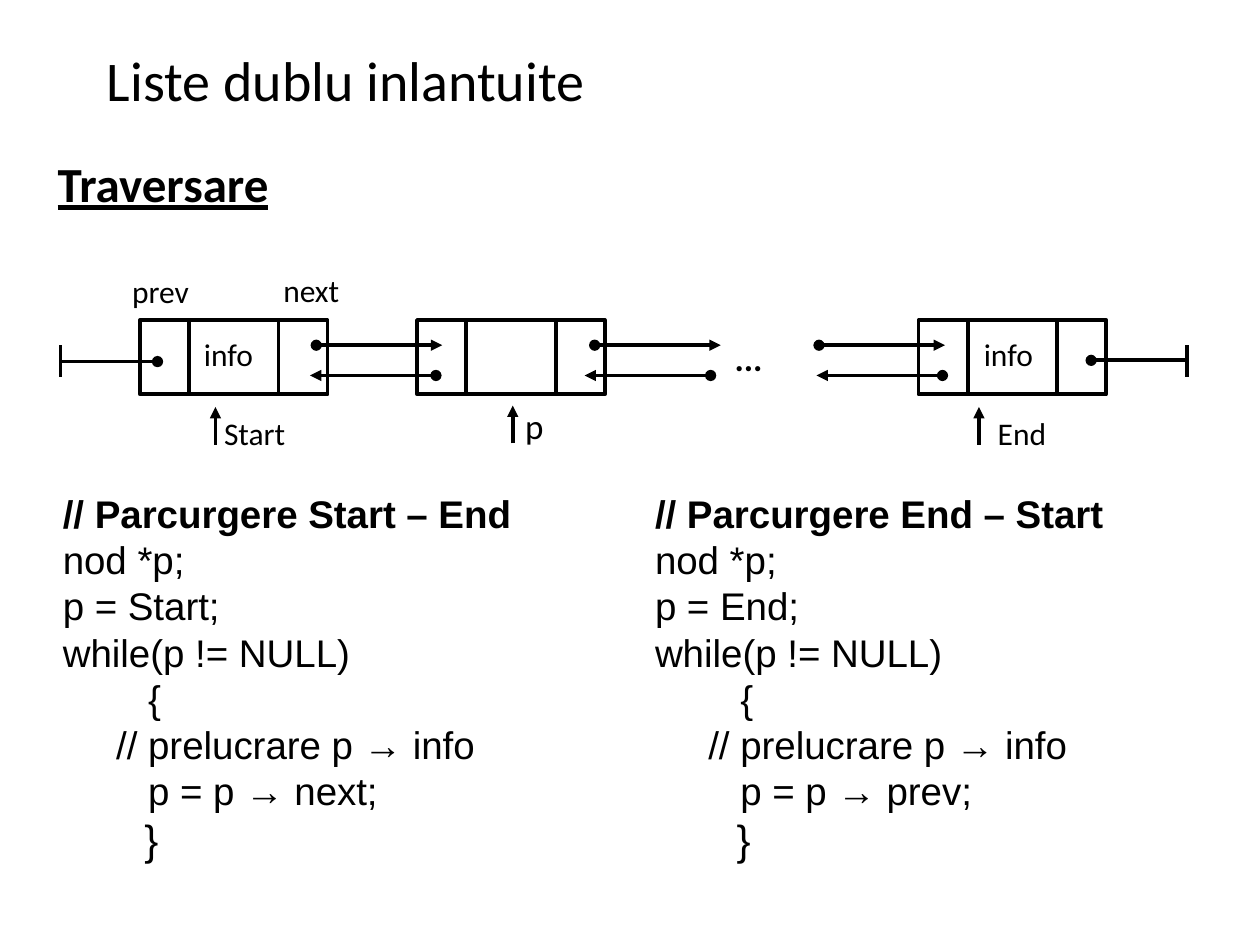
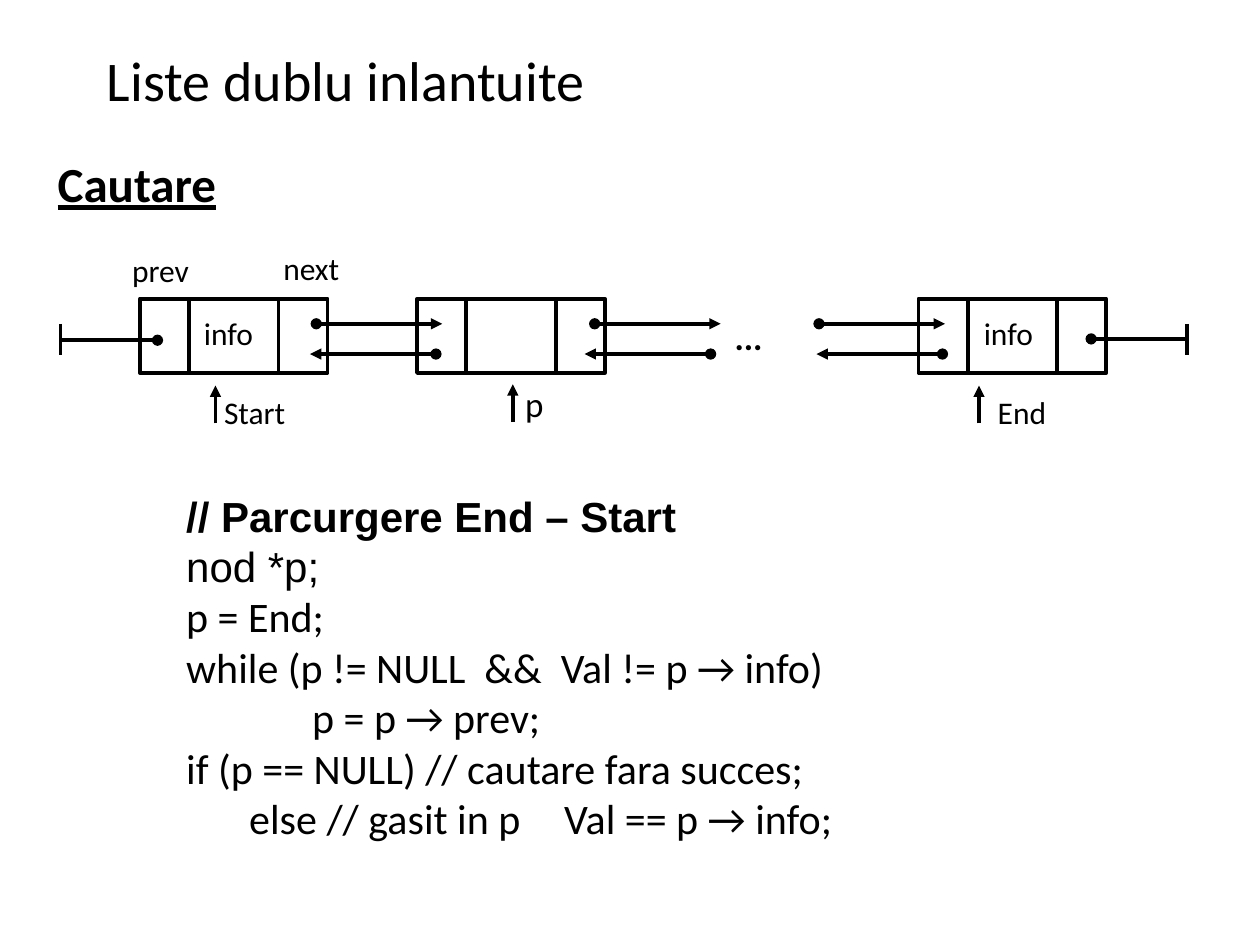
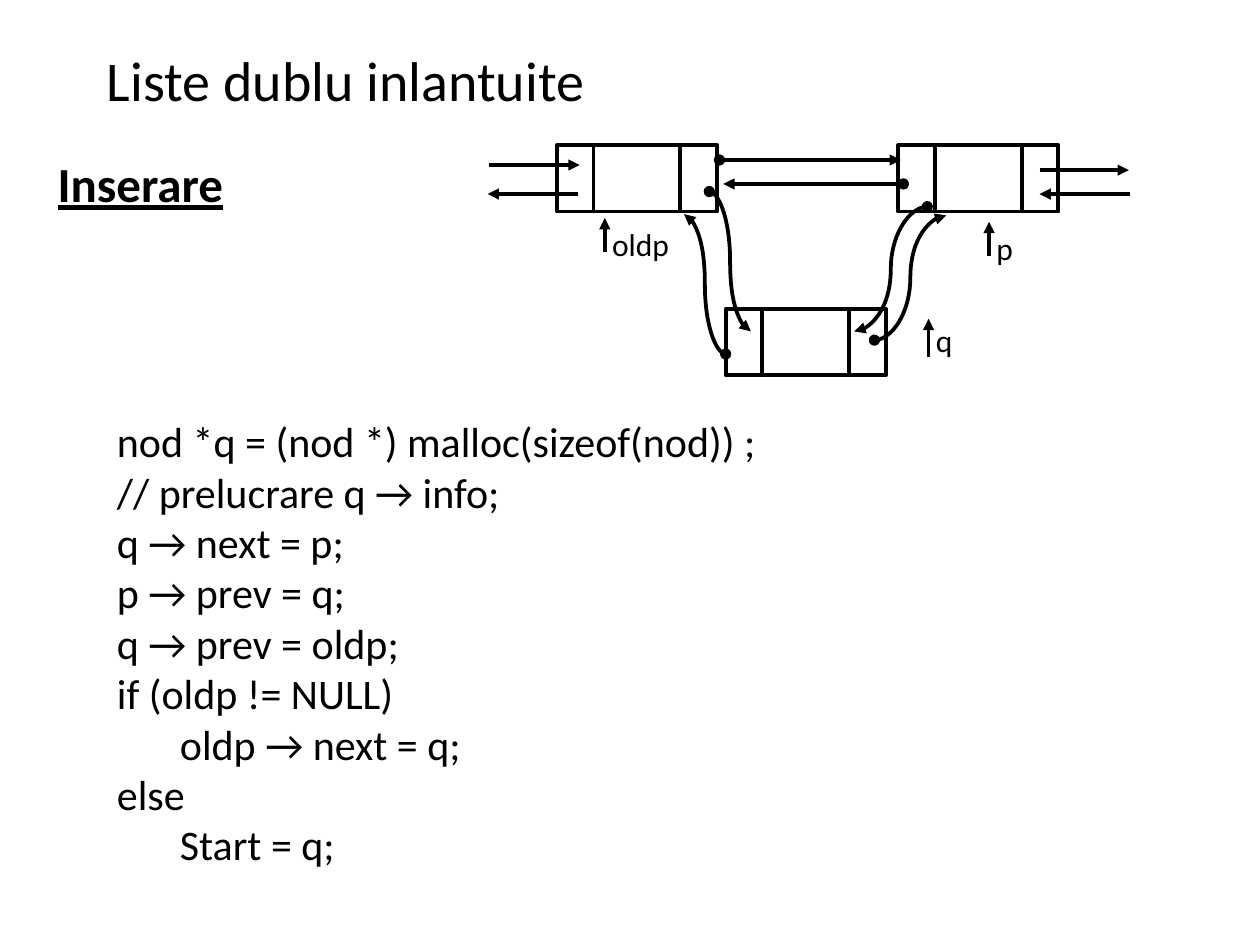
"""Build three slides on traversing, searching and inserting in doubly linked lists."""

from dataclasses import dataclass, field

from lxml import etree
from pptx import Presentation
from pptx.dml.color import RGBColor
from pptx.enum.shapes import MSO_CONNECTOR, MSO_SHAPE
from pptx.enum.text import MSO_ANCHOR
from pptx.oxml.ns import qn
from pptx.util import Pt

PX = 9144
STRAIGHT, CURVE = MSO_CONNECTOR.STRAIGHT, MSO_CONNECTOR.CURVE
RECTANGLE = MSO_SHAPE.RECTANGLE
TOP, MIDDLE = MSO_ANCHOR.TOP, MSO_ANCHOR.MIDDLE


def font_format(size, name="Calibri", **extra):
    return {"size": Pt(size), "name": name, **extra}


@dataclass(frozen=True)
class Theme:
    ink: RGBColor = RGBColor(0, 0, 0)
    line_width: float = 2.15
    leading: float = 1.2
    inset: tuple = (10, 5)
    styles: dict = field(default_factory=lambda: {
        "title": font_format(32),
        "heading": font_format(28, bold=True, underline=True),
        "dots": font_format(20, bold=True),
        "label": font_format(18),
        "pointer": font_format(20),
        "code": font_format(24),
        "arial": font_format(24, "Arial"),
        "arial bold": font_format(24, "Arial", bold=True),
        "small": font_format(22, "Arial"),
        "small bold": font_format(22, "Arial", bold=True),
    })


class Deck:
    """Hold the theme and the current slide, and draw elements on it."""

    def __init__(self, theme):
        self.theme = theme
        self.presentation = Presentation()
        self.presentation.slide_width = 1000 * PX
        self.presentation.slide_height = 750 * PX
        self.slide = None

    def add_slide(self, heading):
        layout = self.presentation.slide_layouts[6]
        self.slide = self.presentation.slides.add_slide(layout)
        self.text(75, 34, 849, 57, "Liste dublu inlantuite", "title", MIDDLE)
        self.text(36, 117, 314, 57, heading, "heading", MIDDLE)

    def frame(self, left, top, width, height, anchor=TOP, inset=None):
        box = self.slide.shapes.add_textbox(left * PX, top * PX, width * PX, height * PX)
        across, down = self.theme.inset if inset is None else inset
        formats = {
            "word_wrap": True, "vertical_anchor": anchor,
            "margin_left": across * PX, "margin_right": across * PX,
            "margin_top": down * PX, "margin_bottom": down * PX,
        }
        for name, value in formats.items():
            setattr(box.text_frame, name, value)
        return box.text_frame

    def add_words(self, paragraph, words, style):
        run = paragraph.add_run()
        run.text = words
        for name, value in self.theme.styles[style].items():
            setattr(run.font, name, value)
        run.font.color.rgb = self.theme.ink

    def text(self, left, top, width, height, words, style="label", anchor=TOP, inset=None):
        frame = self.frame(left, top, width, height, anchor, inset)
        self.add_words(frame.paragraphs[0], words, style)

    def code(self, left, top, width, height, lines):
        frame = self.frame(left, top, width, height)
        for index, (words, style) in enumerate(lines):
            paragraph = frame.add_paragraph() if index else frame.paragraphs[0]
            size = self.theme.styles[style]["size"]
            paragraph.line_spacing = Pt(size.pt * self.theme.leading)
            self.add_words(paragraph, words, style)

    def outline(self, shape):
        shape.line.color.rgb = self.theme.ink
        shape.line.width = Pt(self.theme.line_width)

    def line(self, start, end, head=None, tail=None, kind=STRAIGHT):
        ends = [value * PX for value in (*start, *end)]
        connector = self.slide.shapes.add_connector(kind, *ends)
        self.outline(connector)
        properties = connector._element.spPr
        line = properties.find(qn("a:ln"))
        for tag, mark in (("a:headEnd", head), ("a:tailEnd", tail)):
            if mark:
                etree.SubElement(line, qn(tag), type=mark)
        etree.SubElement(properties, qn("a:effectLst"))

    def arrow(self, start, end):
        self.line(start, end, tail="triangle")

    def link(self, start, end, kind=STRAIGHT):
        self.line(start, end, "oval", "triangle", kind)

    def node(self, left, top, widths, height):
        for width in widths:
            cell = self.slide.shapes.add_shape(
                RECTANGLE, left * PX, top * PX, width * PX, height * PX)
            cell.shadow.inherit = False
            cell.fill.background()
            self.outline(cell)
            left += width

    def list_diagram(self, top):
        for left in (111, 331, 729):
            self.node(left, top, (39, 71, 39), 59)
        for left in (251, 472, 650):
            self.link((left, top + 20), (left + 100, top + 20))
        for right in (346, 564, 748):
            self.link((right, top + 44), (right - 100, top + 44))
        for inner, outer, drop in ((125, 48, 33), (866, 942, 32)):
            self.line((inner, top + drop), (outer, top + drop), head="oval")
            self.line((outer, top + 20), (outer, top + 45))
        for x, drop in ((171, 69), (407, 68), (777, 69)):
            self.arrow((x, top + drop + 30), (x, top + drop))
        labels = (("prev", 95, -43), ("next", 215, -44), ("info", 152, 7),
                  ("info", 771, 7), ("Start", 168, 70), ("End", 782, 70))
        for words, left, drop in labels:
            self.text(left, top + drop, 80, 38, words)
        self.text(407, top + 62, 35, 42, "p", "pointer")
        self.text(583, top + 14, 37, 32, "...", "dots", MIDDLE, (0, 0))


def styled(lines, style):
    return [(words, style) for words in lines]


def traversal_slide(deck):
    deck.add_slide("Traversare")
    deck.list_diagram(254)
    directions = ((40, "Start", "End", "next"), (510, "End", "Start", "prev"))
    for left, first, last, step in directions:
        body = ("nod *p;", f"p = {first};", "while(p != NULL)", "        {",
                "     // prelucrare p → info", f"        p = p → {step};")
        deck.code(left, 384, 391, 289, [
            (f"// Parcurgere {first} – {last}", "small bold"),
            *styled(body, "small"),
            ("       }", "arial"),
        ])


def search_slide(deck):
    deck.add_slide("Cautare")
    deck.list_diagram(237)
    body = ("p = End;", "while (p != NULL  &&  Val != p → info)", "\t\tp = p → prev;",
            "if (p == NULL) // cautare fara succes;",
            "\telse // gasit in p\tVal == p → info;")
    deck.code(138, 384, 694, 289, [
        ("// Parcurgere End – Start", "arial bold"),
        ("nod *p;", "arial"),
        *styled(body, "code"),
    ])


def insertion_slide(deck):
    deck.add_slide("Inserare")
    for left, top in ((442, 115), (713, 115), (576, 245)):
        deck.node(left, top, (29, 69, 29), 53)
    pointers = (("oldp", 480, 173, 27, 90, 174), ("p", 785, 176, 27, 33, 177),
                ("q", 737, 253, 30, 31, 250))
    for words, x, tip, length, width, top in pointers:
        deck.arrow((x, tip + length), (x, tip))
        deck.text(x - 4, top, width, 36, words)
    for start, end in (((388, 131), (460, 131)), ((459, 154), (387, 154)),
                       ((897, 154), (825, 154)), ((825, 135), (896, 135))):
        deck.arrow(start, end)
    for start, end in (((571, 127), (715, 127)), ((717, 146), (574, 146))):
        deck.link(start, end)
    for start, end in (((694, 270), (751, 171)), ((563, 152), (596, 263)),
                       ((576, 281), (543, 170)), ((736, 164), (678, 263))):
        deck.link(start, end, CURVE)
    body = ("nod *q = (nod *) malloc(sizeof(nod)) ;", "// prelucrare q → info;",
            "q → next = p;", "p → prev = q;", "q → prev = oldp;", "if (oldp != NULL)",
            "\toldp → next = q;", "else", "\tStart = q;")
    deck.code(83, 325, 694, 375, styled(body, "code"))


def main():
    deck = Deck(Theme())
    for build in (traversal_slide, search_slide, insertion_slide):
        build(deck)
    deck.presentation.save("out.pptx")


if __name__ == "__main__":
    main()
